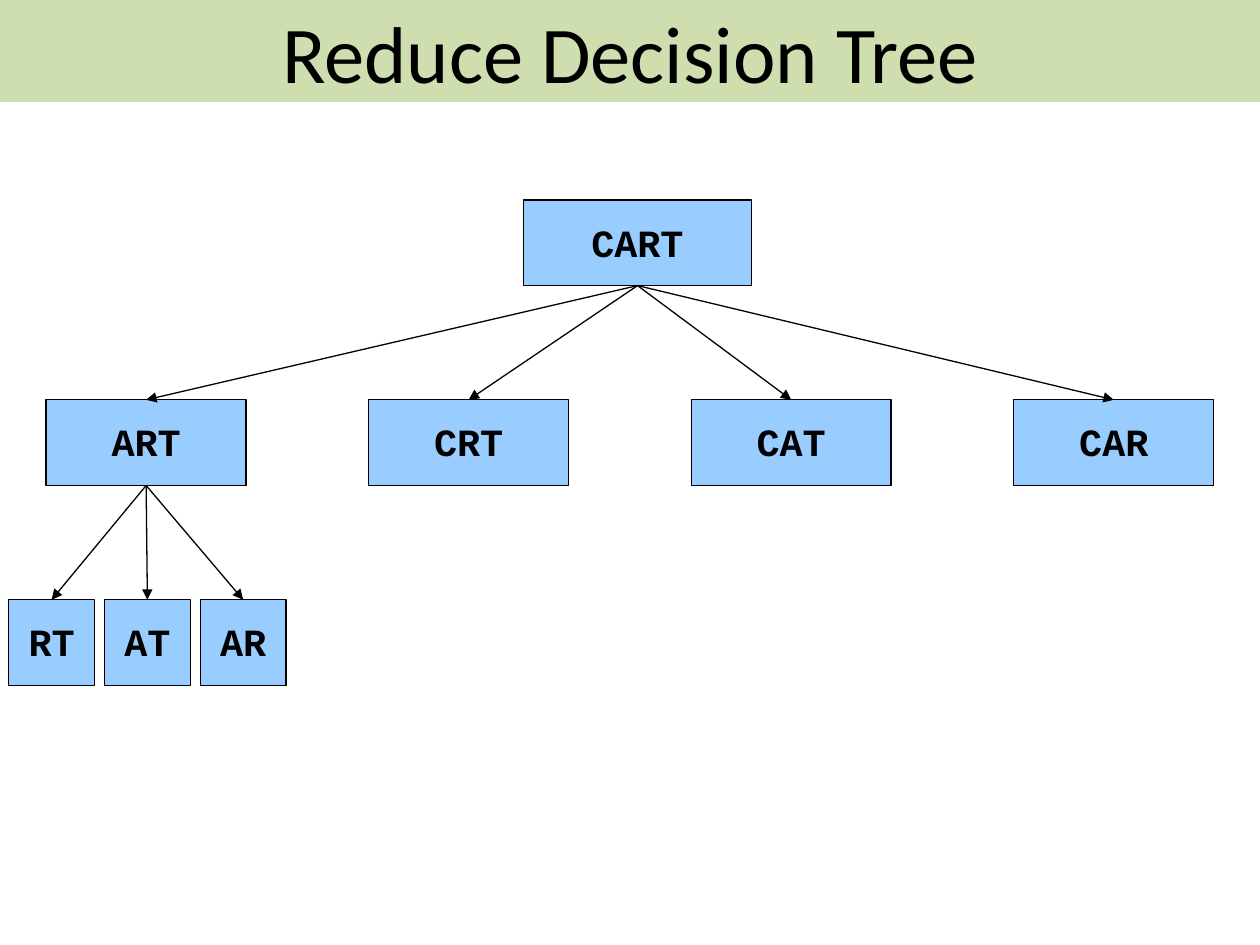
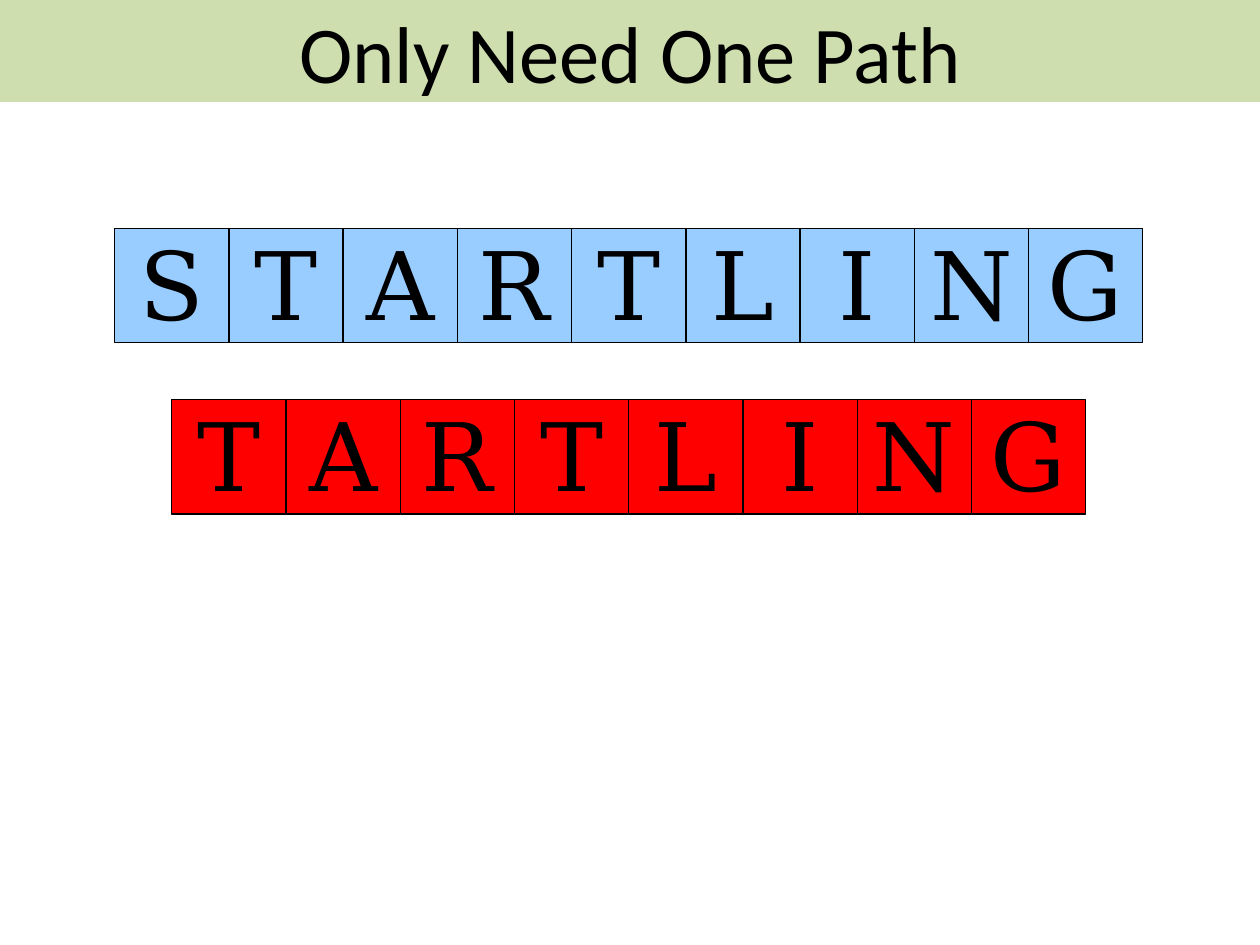
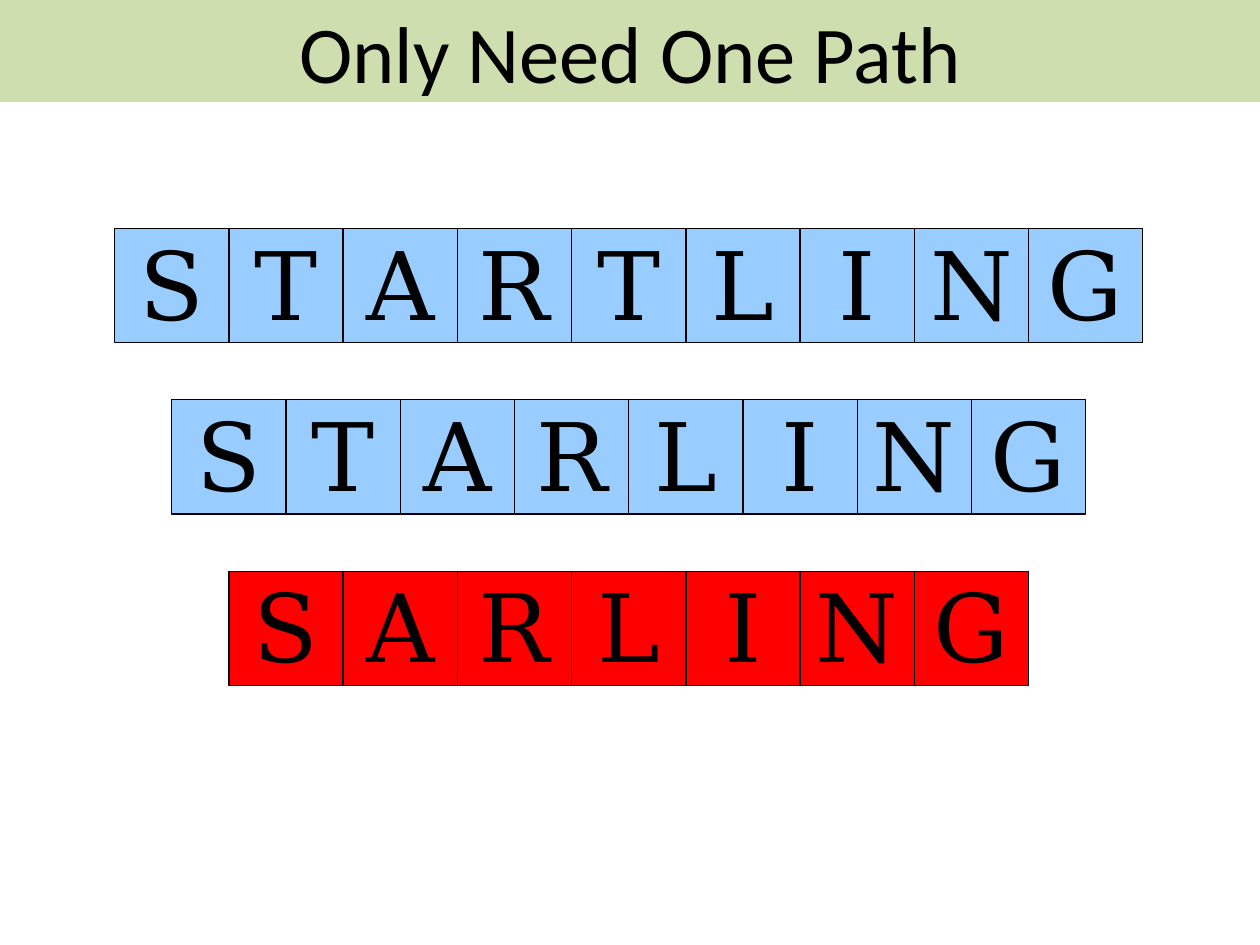
"""Build three slides on reducing words one letter at a time."""
from lxml.etree import SubElement
from pptx import Presentation
from pptx.dml.color import RGBColor
from pptx.enum.shapes import MSO_CONNECTOR, MSO_SHAPE
from pptx.enum.text import MSO_ANCHOR, MSO_AUTO_SIZE, PP_ALIGN
from pptx.oxml.ns import qn
from pptx.util import Inches, Pt

COLORS = {"band": "C3D69B", "valid": "99CCFF", "invalid": "FF0000", "ink": "000000"}
CELL = 8.16 / 9
LETTER_CENTER = 4.99
BOTTOM_SITE, TOP_SITE = 2, 0


def style_text(frame, text, font_name, size, bold=False, spacing=None):
    """Write one centred line in the given font."""
    frame.text = text
    frame.vertical_anchor = MSO_ANCHOR.MIDDLE
    line = frame.paragraphs[0]
    line.alignment = PP_ALIGN.CENTER
    line.line_spacing = spacing
    font = line.runs[0].font
    font.name, font.size, font.bold = font_name, Pt(size), bold
    font.color.rgb = RGBColor.from_string(COLORS["ink"])


def add_tile(slide, center, row, columns, rows, color, text, **text_style):
    """Add a bordered tile, its top and size counted in grid cells."""
    width = columns * CELL
    tile = slide.shapes.add_shape(
        MSO_SHAPE.RECTANGLE, Inches(center - width / 2), Inches(row * CELL),
        Inches(width), Inches(rows * CELL))
    tile.shadow.inherit = False
    tile.fill.solid()
    tile.fill.fore_color.rgb = RGBColor.from_string(COLORS[color])
    tile.line.color.rgb = RGBColor.from_string(COLORS["ink"])
    tile.line.width = Pt(0.75)
    frame = tile.text_frame
    frame.word_wrap = False
    frame.margin_left = frame.margin_right = Inches(0.09)
    frame.margin_top, frame.margin_bottom = Inches(0.06), Inches(0.04)
    style_text(frame, text, **text_style)
    return tile


prs = Presentation()
prs.slide_width, prs.slide_height = Inches(10), Inches(7.5)
title_only = prs.slide_layouts[5]

slides = []
for heading in ("Reduce Decision Tree", "Only Need One Path", "Only Need One Path"):
    slide = prs.slides.add_slide(title_only)
    title = slide.shapes.title
    title.left, title.top = 0, 0
    title.width, title.height = prs.slide_width, Inches(0.81)
    title.fill.solid()
    title.fill.fore_color.rgb = RGBColor.from_string(COLORS["band"])
    band_color = title.fill._xPr.find(qn("a:solidFill"))[0]
    SubElement(band_color, qn("a:alpha")).set("val", "80000")
    title.text_frame.auto_size = MSO_AUTO_SIZE.NONE
    style_text(title.text_frame, heading, "Calibri", 46)
    slides.append(slide)

tree_slide, first_path, second_path = slides

tree_levels = [
    (None, ["CART"], 5.06, 0, 2),
    ("CART", ["ART", "CRT", "CAT", "CAR"], 5, 2.56, 1.75),
    ("ART", ["RT", "AT", "AR"], 1.17, 0.76, 0.75),
]
nodes = {}
for level, (parent, words, middle, pitch, columns) in enumerate(tree_levels, 1):
    for index, word in enumerate(words):
        center = middle + (index - (len(words) - 1) / 2) * pitch
        nodes[word] = add_tile(
            tree_slide, center, 1.75 * level, columns, 0.75, "valid", word,
            font_name="Courier New", size=22, bold=True, spacing=0.94)
        if parent:
            branch = tree_slide.shapes.add_connector(MSO_CONNECTOR.STRAIGHT, 0, 0, 0, 0)
            branch.begin_connect(nodes[parent], BOTTOM_SITE)
            branch.end_connect(nodes[word], TOP_SITE)
            branch.line.color.rgb = RGBColor.from_string(COLORS["ink"])
            branch.line.width = Pt(0.75)
            SubElement(branch.line._get_or_add_ln(), qn("a:tailEnd")).set("type", "triangle")
            SubElement(branch._element.spPr, qn("a:effectLst"))

paths = [
    (first_path, [("STARTLING", "valid"), ("TARTLING", "invalid")]),
    (second_path, [("STARTLING", "valid"), ("STARLING", "valid"), ("SARLING", "invalid")]),
]
for slide, steps in paths:
    for step, (word, color) in enumerate(steps):
        for index, letter in enumerate(word):
            center = LETTER_CENTER + (index - (len(word) - 1) / 2) * CELL
            add_tile(slide, center, 2 + 1.5 * step, 1, 1, color, letter,
                     font_name="DejaVu Serif", size=54, spacing=0.98)

prs.save("out.pptx")
